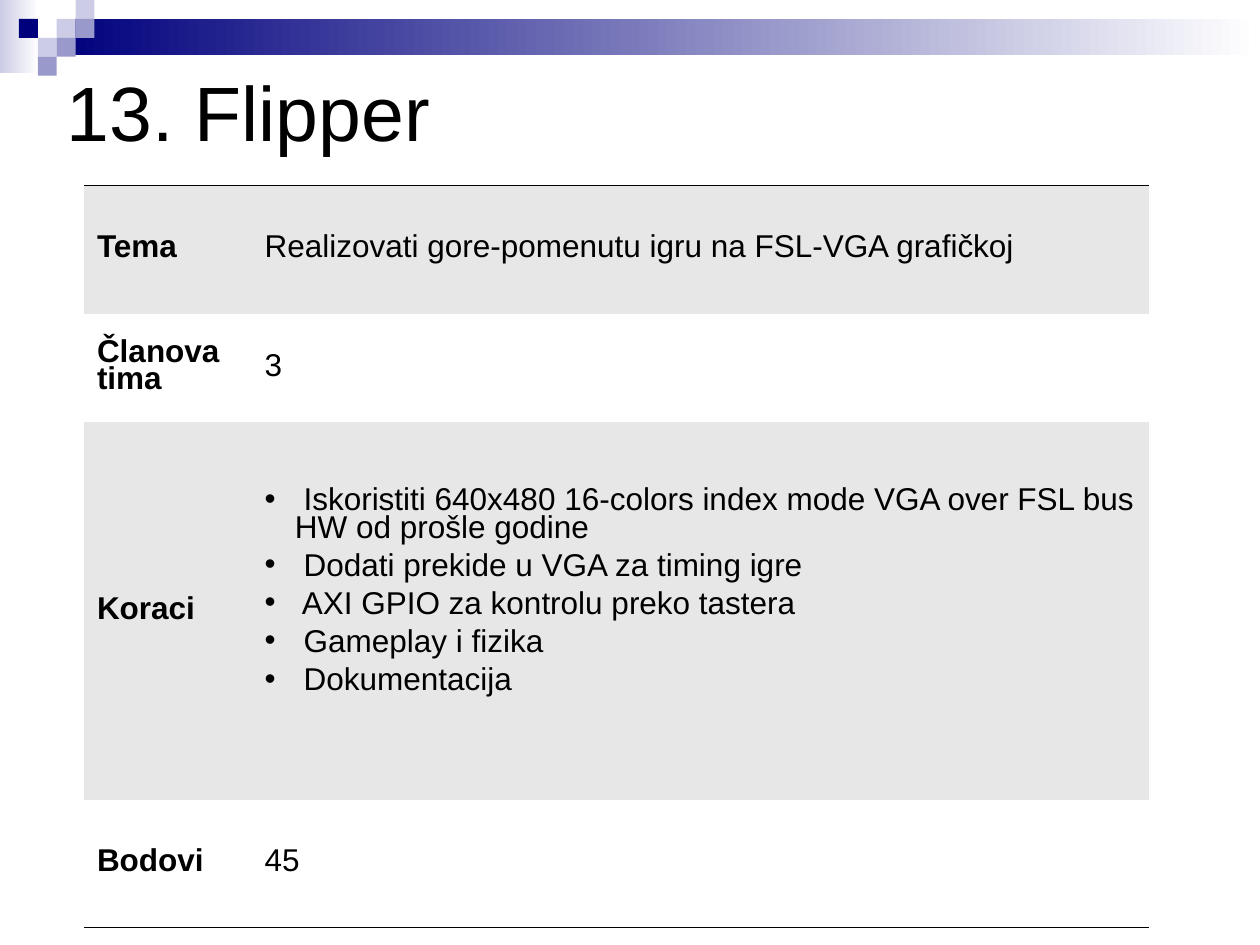
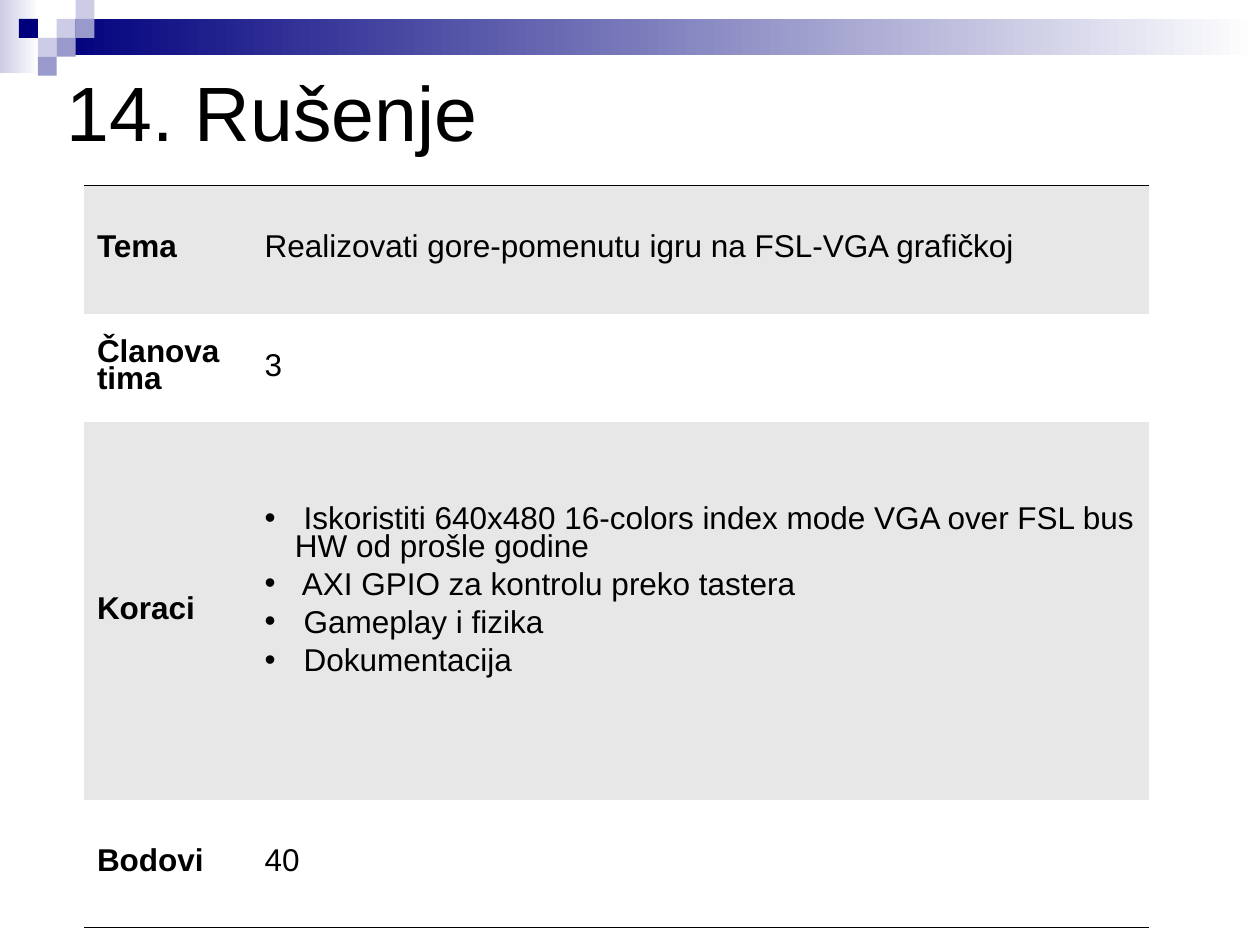
from lxml import etree
from pptx import Presentation
from pptx.dml.color import RGBColor
from pptx.enum.shapes import MSO_SHAPE
from pptx.enum.text import MSO_ANCHOR
from pptx.oxml.ns import qn
from pptx.util import Inches, Pt

RECT = MSO_SHAPE.RECTANGLE
MIDDLE = MSO_ANCHOR.MIDDLE

THEME = "Realizovati gore-pomenutu igru na FSL-VGA grafičkoj"
BUS = " Iskoristiti 640x480 16-colors index mode VGA over FSL bus HW od prošle godine"
TIMING = " Dodati prekide u VGA za timing igre"
COMMON = [" AXI GPIO za kontrolu preko tastera", " Gameplay i fizika", " Dokumentacija"]
LABELS = ["Tema", "Članova tima", "Koraci", "Bodovi"]
GAMES = [
    {"title": "13. Flipper", "team": "3", "steps": [BUS, TIMING] + COMMON, "points": "45"},
    {"title": "14. Rušenje", "team": "3", "steps": [BUS] + COMMON, "points": "40"},
]

FONT = "Arial"
COLORS = {"navy": "00007D", "mid": "9999CC", "light": "CCCCE6",
          "white": "FFFFFF", "gray": "E7E7E7", "black": "000000"}
BANDS = [((0, 0, 0.31, 0.58), "light"), ((0.45, 0.15, 9.54, 0.29), "navy")]
UNIT = 0.15
SQUARES = [(3, 1, "light"), (4, 0, "light"), (4, 1, "mid"), (2, 2, "light"),
           (1, 1, "navy"), (3, 2, "mid"), (2, 3, "mid")]  # column, row, colour
COLS = [1.33, 7.12]
ROWS = [1.02, 0.86, 3, 1.01]
INDENT = 0.24
STEP_PAD = 0.35
NO_STYLE = "{2D5ABB26-0587-4C30-8999-92F81FD0307C}"


def rgb(name):
    return RGBColor.from_string(COLORS[name])


def add_rect(slide, box):
    shape = slide.shapes.add_shape(RECT, *map(Inches, box))
    shape.shadow.inherit = False
    shape.line.fill.background()
    return shape


def add_decor(slide):
    for box, color in BANDS:
        fill = add_rect(slide, box).fill
        fill.gradient()
        fill.gradient_angle = 0
        for stop, name, place in zip(fill.gradient_stops, (color, "white"), (0, 1)):
            stop.color.rgb = rgb(name)
            stop.position = place
    for col, row, color in SQUARES:
        fill = add_rect(slide, (col * UNIT, row * UNIT, UNIT, UNIT)).fill
        fill.solid()
        fill.fore_color.rgb = rgb(color)


def set_font(para, size, bold=False):
    font = para.font
    font.name, font.size, font.bold = FONT, Pt(size), bold
    font.color.rgb = rgb("black")


def add_title(slide, text):
    box = slide.shapes.add_textbox(*map(Inches, (0.43, 0.13, 9, 1.5)))
    frame = box.text_frame
    frame.word_wrap = True
    frame.vertical_anchor = MIDDLE
    frame.text = text
    set_font(frame.paragraphs[0], 44)


def add_bullet(para):
    props = para._p.get_or_add_pPr()
    props.set("marL", str(Inches(INDENT)))
    props.set("indent", str(-Inches(INDENT)))
    color = etree.SubElement(props, qn("a:buClr"))
    etree.SubElement(color, qn("a:srgbClr"), val=COLORS["black"])
    etree.SubElement(props, qn("a:buFont"), typeface=FONT)
    etree.SubElement(props, qn("a:buChar"), char="•")
    para.space_after = Pt(6)


def add_border(cell, side):
    line = etree.Element(qn("a:" + side), w=str(Pt(0.06)))
    fill = etree.SubElement(line, qn("a:solidFill"))
    etree.SubElement(fill, qn("a:srgbClr"), val=COLORS["black"])
    cell._tc.get_or_add_tcPr().insert(0, line)


def fill_cell(cell, value, shade, bold):
    """Write one string, or a list of strings as bullets."""
    cell.vertical_anchor = MIDDLE
    cell.fill.solid()
    cell.fill.fore_color.rgb = rgb(shade)
    listed = isinstance(value, list)
    cell.text = "\n".join(value) if listed else value
    if listed:
        cell.margin_bottom = Inches(STEP_PAD)
    for para in cell.text_frame.paragraphs:
        if listed:
            add_bullet(para)
        para.line_spacing = 0.78
        set_font(para, 18, bold)


def add_grid(slide, values):
    box = map(Inches, (0.67, 1.47, sum(COLS), sum(ROWS)))
    table = slide.shapes.add_table(len(ROWS), len(COLS), *box).table
    table.first_row = table.horz_banding = False
    table._tbl.tblPr.find(qn("a:tableStyleId")).text = NO_STYLE
    for col, width in zip(table.columns, COLS):
        col.width = Inches(width)
    for i, pair in enumerate(zip(LABELS, values)):
        table.rows[i].height = Inches(ROWS[i])
        for j, value in enumerate(pair):
            fill_cell(table.cell(i, j), value, "white" if i % 2 else "gray", j == 0)
    for j in range(len(COLS)):
        add_border(table.cell(0, j), "lnT")
        add_border(table.cell(len(ROWS) - 1, j), "lnB")


def main():
    deck = Presentation()
    deck.slide_width, deck.slide_height = Inches(10), Inches(7.5)
    for game in GAMES:
        slide = deck.slides.add_slide(deck.slide_layouts[6])
        add_decor(slide)
        add_title(slide, game["title"])
        add_grid(slide, [THEME, game["team"], game["steps"], game["points"]])
    deck.save("out.pptx")


if __name__ == "__main__":
    main()
